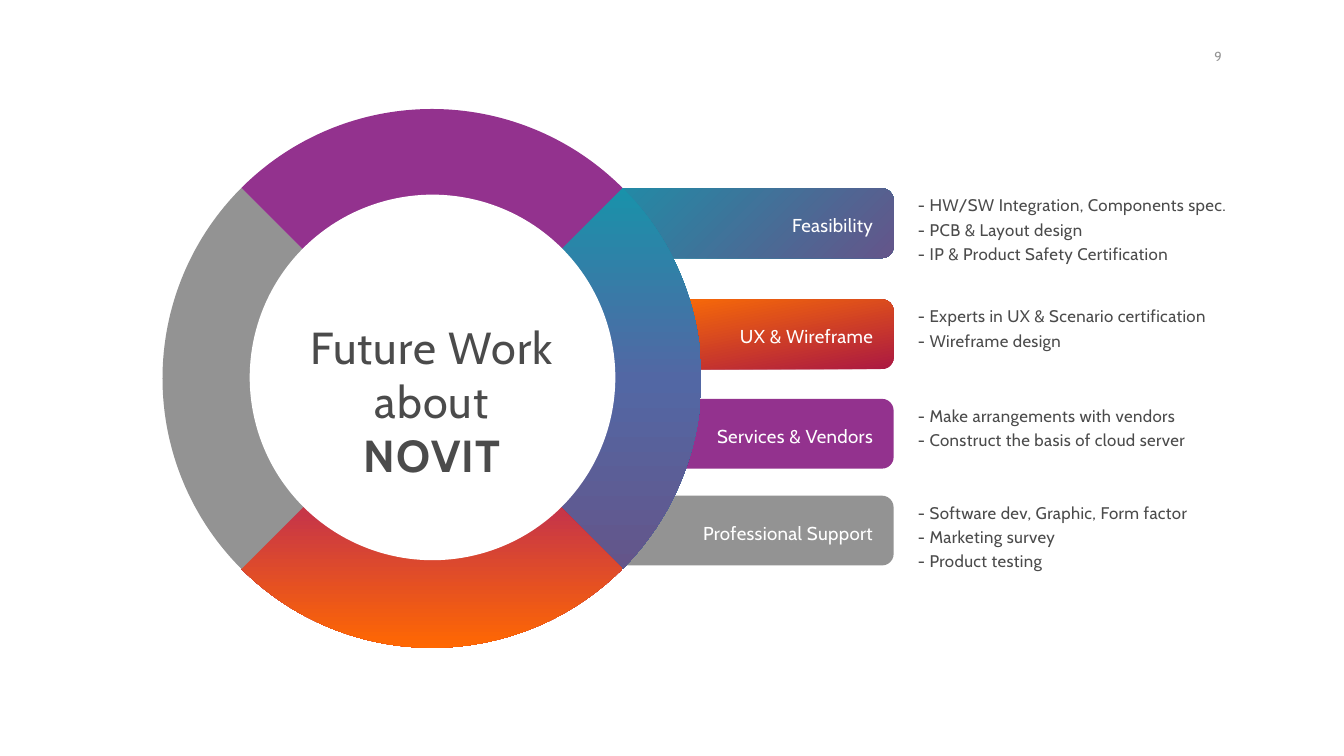
from copy import deepcopy
from dataclasses import dataclass

from lxml.etree import SubElement
from pptx import Presentation
from pptx.chart.data import CategoryChartData
from pptx.dml.color import RGBColor
from pptx.dml.fill import FillFormat
from pptx.enum.chart import XL_CHART_TYPE
from pptx.enum.shapes import MSO_SHAPE
from pptx.enum.text import MSO_AUTO_SIZE, PP_ALIGN
from pptx.oxml import parse_xml
from pptx.oxml.ns import nsdecls, qn
from pptx.slide import Slide
from pptx.text.text import TextFrame
from pptx.util import Cm, Pt

FONT = "Cabin"
WHITE = RGBColor(0xFF, 0xFF, 0xFF)
TEXT = RGBColor(0x4B, 0x4B, 0x4B)
GRAY = RGBColor(0x93, 0x93, 0x93)
PURPLE = RGBColor(0x93, 0x32, 0x8E)
TEAL = RGBColor(0x19, 0x92, 0xAA)
BLUE = RGBColor(0x52, 0x67, 0xA4)
INDIGO = RGBColor(0x64, 0x55, 0x8A)
CRIMSON = RGBColor(0xAB, 0x19, 0x42)
RED = RGBColor(0xC7, 0x36, 0x47)
ORANGE = RGBColor(0xFF, 0x72, 0x02)
BRIGHT_ORANGE = RGBColor(0xFF, 0x68, 0x02)

TAB_RIGHT, TAB_HEIGHT = 16.89, 1.32
LABEL_RIGHT, LABEL_DROP, LABEL_HEIGHT = 16.55, 0.36, 0.69
DETAIL_LEFT, DETAIL_DROP, DETAIL_WIDTH, DETAIL_LINE = 17.35, 0.05, 5.99, 0.45


@dataclass
class Paint:
    """Evenly spaced colours; one colour is solid. The angle is clockwise."""
    colors: list[RGBColor]
    angle: float = 0


@dataclass
class Topic:
    label: str
    details: list[str]
    left: float
    top: float
    label_left: float
    paint: Paint


TOPICS = [
    Topic("Professional Support",
          ["- Software dev, Graphic, Form factor", "- Marketing survey", "- Product testing"],
          10.41, 9.37, 13.13, Paint([GRAY])),
    Topic("Feasibility",
          ["- HW/SW Integration, Components spec.", "- PCB & Layout design",
           "- IP & Product Safety Certification"],
          10.74, 3.56, 14.88, Paint([TEAL, INDIGO], 45)),
    Topic("UX & Wireframe",
          ["- Experts in UX & Scenario certification", "- Wireframe design"],
          11.63, 5.66, 13.84, Paint([CRIMSON, ORANGE], 259)),
    Topic("Services & Vendors",
          ["- Make arrangements with vendors", "- Construct the basis of cloud server"],
          11.63, 7.54, 13.36, Paint([PURPLE])),
]
RING = [Paint([TEAL, BLUE, INDIGO], 90), Paint([CRIMSON, RED, BRIGHT_ORANGE], 90),
        Paint([GRAY]), Paint([PURPLE])]


def apply_paint(fill: FillFormat, paint: Paint) -> None:
    if len(paint.colors) == 1:
        fill.solid()
        fill.fore_color.rgb = paint.colors[0]
        return
    fill.gradient()
    fill.gradient_angle = 360 - paint.angle
    last = fill.gradient_stops[-1]._element
    for _ in paint.colors[2:]:
        last.addnext(deepcopy(last))
    for i, (stop, color) in enumerate(zip(fill.gradient_stops, paint.colors)):
        stop.position = i / (len(paint.colors) - 1)
        stop.color.rgb = color


def add_shape(s: Slide, kind: MSO_SHAPE, left: float, top: float, width: float,
              height: float, paint: Paint) -> None:
    sp = s.shapes.add_shape(kind, Cm(left), Cm(top), Cm(width), Cm(height))
    sp.shadow.inherit = False
    sp.line.fill.background()
    apply_paint(sp.fill, paint)


def add_text(s: Slide, text: str, left: float, top: float, width: float, height: float,
             size: float, color: RGBColor, align: PP_ALIGN, spacing: int = 20,
             inset: tuple[float, float] = (0, 0), wrap: bool = True,
             line_spacing: float | None = None) -> TextFrame:
    tf = s.shapes.add_textbox(Cm(left), Cm(top), Cm(width), Cm(height)).text_frame
    tf.margin_left = tf.margin_right = Cm(inset[0])
    tf.margin_top = tf.margin_bottom = Cm(inset[1])
    tf.word_wrap = wrap
    tf.auto_size = MSO_AUTO_SIZE.SHAPE_TO_FIT_TEXT
    tf.text = text
    for p in tf.paragraphs:
        p.alignment = align
        p.line_spacing = line_spacing
        for r in p.runs:
            r.font.name, r.font.size = FONT, Pt(size)
            r.font.color.rgb = color
            r.font._element.set("spc", str(spacing))
    return tf


def add_ring(s: Slide) -> None:
    data = CategoryChartData()
    data.categories = ["1", "2", "3", "4"]
    data.add_series("Series 1", [25] * 4)
    chart = s.shapes.add_chart(XL_CHART_TYPE.PIE, Cm(3.02), Cm(2.01),
                               Cm(10.29), Cm(10.29), data).chart
    chart.has_legend = chart.has_title = False
    chart.font.name, chart.font.size = FONT, Pt(10)
    chart.font.color.rgb = TEXT
    plot = chart.plots[0]
    plot.vary_by_categories = False
    for i, paint in enumerate(RING):
        fmt = plot.series[0].points[i].format
        apply_paint(fmt.fill, paint)
        fmt.line.fill.background()

    # Start angle and plot area
    pie = plot._element
    for old in pie.findall(qn("c:firstSliceAng")):
        pie.remove(old)
    SubElement(pie, qn("c:firstSliceAng")).set("val", "45")
    area = pie.getparent()
    for old in area.findall(qn("c:layout")):
        area.remove(old)
    area.insert(0, parse_xml(
        f'<c:layout {nsdecls("c")}><c:manualLayout><c:layoutTarget val="inner"/>'
        '<c:xMode val="edge"/><c:yMode val="edge"/><c:x val="0.005"/><c:y val="0.005"/>'
        '<c:w val="0.99"/><c:h val="0.99"/></c:manualLayout></c:layout>'))


def main() -> None:
    prs = Presentation()
    prs.slide_width, prs.slide_height = Cm(25.4), Cm(14.29)
    s = prs.slides.add_slide(prs.slide_layouts[6])

    # Tabs behind the ring
    for t in TOPICS:
        add_shape(s, MSO_SHAPE.ROUNDED_RECTANGLE, t.left, t.top,
                  TAB_RIGHT - t.left, TAB_HEIGHT, t.paint)

    # Ring with its title
    add_ring(s)
    add_shape(s, MSO_SHAPE.OVAL, 4.72, 3.68, 6.91, 6.91, Paint([WHITE]))
    tf = add_text(s, "Future Work about ", 5.82, 6.05, 4.7, 2.06, 24, TEXT,
                  PP_ALIGN.CENTER, spacing=60)
    p = tf.paragraphs[0]
    r = p.add_run()
    r.text = "NOVIT"
    r._r.insert(0, deepcopy(p.runs[0].font._element))
    r.font.bold = True

    # Tab labels and details
    for t in TOPICS:
        add_text(s, t.label, t.label_left, t.top + LABEL_DROP, LABEL_RIGHT - t.label_left,
                 LABEL_HEIGHT, 10, WHITE, PP_ALIGN.RIGHT, inset=(0.05, 0.13), wrap=False)
        add_text(s, "\n".join(t.details), DETAIL_LEFT, t.top + DETAIL_DROP, DETAIL_WIDTH,
                 DETAIL_LINE * len(t.details), 9, TEXT, PP_ALIGN.LEFT, line_spacing=1.2)

    # Page number
    add_text(s, "9", 22.25, 0.79, 0.89, 0.56, 7, GRAY, PP_ALIGN.RIGHT,
             spacing=0, inset=(0.05, 0.13))
    prs.save("out.pptx")


if __name__ == "__main__":
    main()
